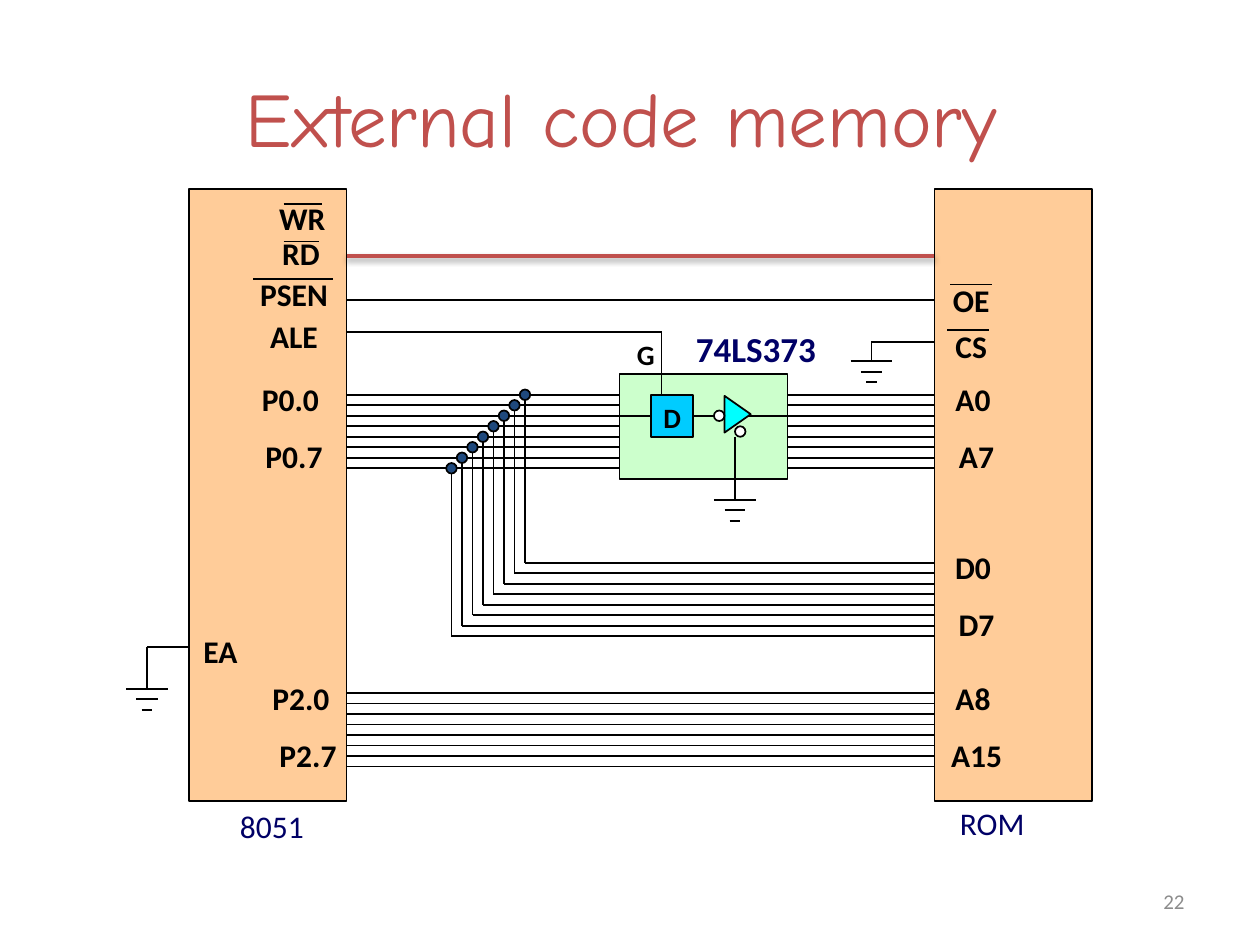
from collections import namedtuple

from lxml import etree
from pptx import Presentation
from pptx import util as u
from pptx.dml.color import RGBColor
from pptx.enum import shapes, text
from pptx.oxml.ns import qn

CELLS_PER_INCH = 12  # the drawing grid: 120 columns by 90 rows
BUS_WIDTH = 8
BLACK, NAVY, RED, GREY = "000000", "000066", "C0504D", "8C8C8C"
CHIP, LATCH, STORE, BUFFER, JOINT, WHITE = (
    "FFCC99", "CCFFCC", "00CCFF", "00FFFF", "1F497D", "FFFFFF")
SHAPE, ALIGN = shapes.MSO_SHAPE, text.PP_ALIGN
LEFT_SIDE, RIGHT_SIDE = 1, 3

Box = namedtuple("Box", "left top width height")


def cells(count):
    return u.Inches(count / CELLS_PER_INCH)


def colour(hex_value):
    return RGBColor.from_string(hex_value)


def inside(box, left, top, width, height):
    """Box whose left and top are counted from the corner of another box."""
    return Box(box.left + left, box.top + top, width, height)


def block(slide, box, fill, kind=SHAPE.RECTANGLE):
    shape = slide.shapes.add_shape(kind, *map(cells, box))
    shape.shadow.inherit = False
    shape.fill.solid()
    shape.fill.fore_color.rgb = colour(fill)
    shape.line.color.rgb = colour(BLACK)
    shape.line.width = u.Pt(1)
    return shape


def write(paragraph, words, size, ink, bold=False, font="Calibri"):
    run = paragraph.add_run()
    run.text = words
    run.font.name, run.font.size, run.font.bold = font, u.Pt(size), bold
    run.font.color.rgb = colour(ink)


def label(slide, box, *lines, size=18, ink=BLACK, bold=True, align=ALIGN.CENTER):
    frame = slide.shapes.add_textbox(*map(cells, box)).text_frame
    frame.word_wrap = align != ALIGN.LEFT
    frame.auto_size = text.MSO_AUTO_SIZE.SHAPE_TO_FIT_TEXT
    for number, line in enumerate(lines):
        paragraph = frame.add_paragraph() if number else frame.paragraphs[0]
        paragraph.alignment = align
        if number:
            paragraph.space_before = u.Pt(11)
        write(paragraph, line, size, ink, bold)
    return frame


def wire(slide, x1, y1, x2, y2, ink=BLACK, width=1):
    line = slide.shapes.add_connector(
        shapes.MSO_CONNECTOR.STRAIGHT, *map(cells, (x1, y1, x2, y2)))
    line.line.color.rgb = colour(ink)
    line.line.width = u.Pt(width)
    etree.SubElement(line._element.spPr, qn("a:effectLst"))
    return line


def cast_shadow(line):
    effects = line._element.spPr.find(qn("a:effectLst"))
    shadow = etree.SubElement(
        effects, qn("a:outerShdw"), blurRad=str(u.Pt(3.1)), dist=str(u.Pt(1.6)),
        dir="5400000", rotWithShape="0")
    tint = etree.SubElement(shadow, qn("a:srgbClr"), val=BLACK)
    etree.SubElement(tint, qn("a:alpha"), val="38000")


def bus(slide, x1, x2, top):
    return [wire(slide, x1, top + i, x2, top + i) for i in range(BUS_WIDTH)]


def ground(slide, x, pin_y, bars_y):
    wire(slide, x, pin_y, x, bars_y)
    for row, half in enumerate((2, 1, 0.5)):
        wire(slide, x - half, bars_y + row, x + half, bars_y + row)


def overlines(slide, box, bars):
    for start, end, row in bars:
        y = box.top + row
        wire(slide, box.left + start, y, box.left + end, y)


def processor(slide, box):
    block(slide, box, CHIP)
    label(slide, inside(box, 7.4, 0.4, 7.6, 4.8), "WR", align=ALIGN.LEFT)
    label(slide, inside(box, 7.7, 3.7, 6.7, 4.8), "RD", align=ALIGN.LEFT)
    label(slide, inside(box, 4, 7.6, 12, 4.8), "PSEN")
    label(slide, inside(box, 4, 11.6, 12, 4.8), "ALE")
    label(slide, inside(box, 4, 17.6, 12, 10.2), "P0.0 ", "P0.7")
    label(slide, inside(box, 5, 46.1, 12, 10.2), "P2.0 ", " P2.7")
    label(slide, inside(box, -1, 41.6, 8, 4.8), "EA")
    label(slide, inside(box, 1.4, box.height, 13, 6), "8051", ink=NAVY, bold=False)
    overlines(slide, box, [(9, 12.7, 1.4), (9, 12.4, 5), (6.1, 13.7, 8.6)])
    ea_y, ground_x = box.top + 43.6, box.left - 4
    wire(slide, ground_x, ea_y, box.left, ea_y)
    ground(slide, ground_x, ea_y, ea_y + 4)


def rom(slide, box):
    block(slide, box, CHIP)
    label(slide, inside(box, 0, 8.2, 7, 4.8), "OE")
    label(slide, inside(box, 0, 12.6, 7, 4.8), "CS")
    for row, pins in ((17.6, ("A0 ", "A7")), (33.6, ("D0 ", "D7")),
                      (46.1, ("A8 ", "A15"))):
        label(slide, inside(box, -1, row, 10, 10.2), *pins)
    label(slide, inside(box, -1.5, 58, 14, 6), "ROM", ink=NAVY, bold=False)
    overlines(slide, box, [(1.5, 5.5, 9.1), (1.2, 5.2, 13.4)])
    cs_y, ground_x = box.top + 14.6, box.left - 6
    wire(slide, ground_x, cs_y, box.left, cs_y)
    ground(slide, ground_x, cs_y, cs_y + 1.8)


def latch(slide, box):
    body = block(slide, box, LATCH)
    store = block(slide, inside(box, 3, 2, 4, 4), STORE)
    label(slide, inside(box, 3, 2, 4, 4.4), "D", size=16)
    mid = box.top + 4
    wire(slide, box.left, mid, box.left + 3, mid).end_connect(store, LEFT_SIDE)
    wire(slide, box.left + 7, mid, box.left + box.width, mid).begin_connect(
        store, RIGHT_SIDE)
    block(slide, inside(box, 9.5, 2.6, 3.5, 2.5), BUFFER,
          SHAPE.ISOSCELES_TRIANGLE).rotation = 90
    for column, row in ((11, 5), (9, 3.5)):
        block(slide, inside(box, column, row, 1, 1), WHITE, SHAPE.OVAL)
    ground(slide, box.left + 11, box.top + 6, box.top + 12)
    label(slide, inside(box, 5, -5, 16, 5.2), "74LS373", size=20, ink=NAVY)
    label(slide, inside(box, -1, -4, 7, 4.4), "G", size=16)
    return body


def data_branch(slide, first_x, bus_top, data_top, end_x):
    """Tap each address line and lead it down to the data pins."""
    taps = [(first_x - i, bus_top + i, data_top + i) for i in range(BUS_WIDTH)]
    for x, tap_y, data_y in taps:
        wire(slide, x, tap_y, x, data_y)
        wire(slide, x, data_y, end_x, data_y)
    for x, tap_y, _ in taps:
        block(slide, Box(x - 0.5, tap_y - 0.5, 1, 1), JOINT, SHAPE.OVAL)


def wiring(slide, cpu_box, latch_box, latch_body, rom_box):
    start, end = cpu_box.left + cpu_box.width, rom_box.left
    latch_right = latch_box.left + latch_box.width
    address_top = latch_box.top + 2
    middle = 3  # the line that meets the middle of the latch
    bus(slide, start, latch_box.left, address_top)[middle].end_connect(
        latch_body, LEFT_SIDE)
    bus(slide, latch_right, end, address_top)[middle].begin_connect(
        latch_body, RIGHT_SIDE)
    bus(slide, start, end, cpu_box.top + 48)

    ale_y, gate_x = latch_box.top - 4, latch_box.left + 4
    wire(slide, start, ale_y, gate_x, ale_y)
    wire(slide, gate_x, ale_y, gate_x, address_top)

    psen_y, read_y = cpu_box.top + 10.6, cpu_box.top + 6.4
    wire(slide, start, psen_y, end, psen_y)
    data_branch(slide, start + 17, address_top, address_top + 16, end)
    cast_shadow(wire(slide, start, read_y, end, read_y, RED, 2))


def heading(slide, box, words):
    title = slide.shapes.title
    title.left, title.top, title.width, title.height = map(cells, box)
    title.text_frame.vertical_anchor = text.MSO_ANCHOR.MIDDLE
    paragraph = title.text_frame.paragraphs[0]
    paragraph.alignment = ALIGN.CENTER
    write(paragraph, words, 44, RED, font="Comic Neue")


def main():
    deck = Presentation()
    deck.slide_width, deck.slide_height = cells(120), cells(90)
    slide = deck.slides.add_slide(deck.slide_layouts[5])
    cpu_box = Box(18, 18, 15, 58.3)
    latch_box = Box(59, 35.6, 16, 10)
    rom_box = Box(89, 18, 15, 58.3)

    heading(slide, Box(5.2, 3.6, 108, 15), "External code memory")
    processor(slide, cpu_box)
    rom(slide, rom_box)
    latch_body = latch(slide, latch_box)
    wiring(slide, cpu_box, latch_box, latch_body, rom_box)
    page = label(slide, Box(86, 83.4, 28, 4.8), "22", size=12, ink=GREY,
                 bold=False, align=ALIGN.RIGHT)
    page.auto_size = text.MSO_AUTO_SIZE.NONE
    page.vertical_anchor = text.MSO_ANCHOR.MIDDLE
    deck.save("out.pptx")


if __name__ == "__main__":
    main()
